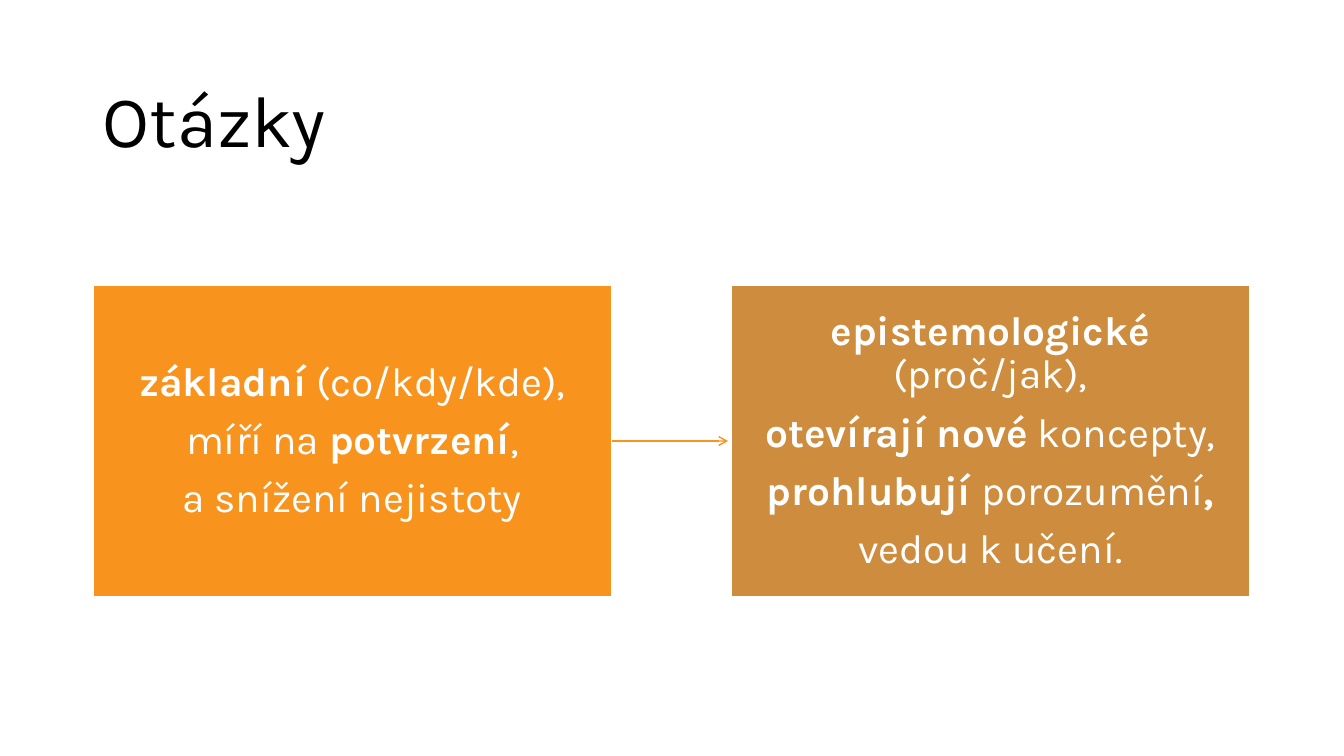
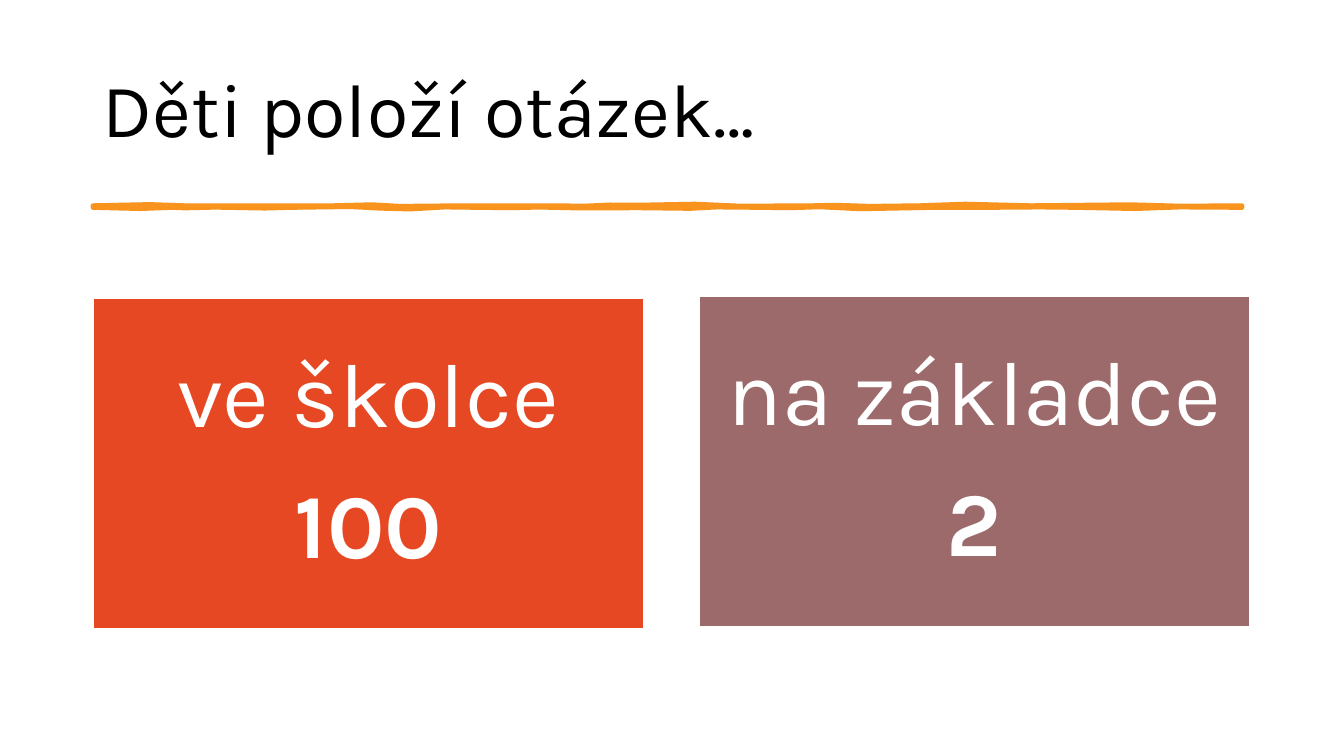
from lxml import etree
from pptx import Presentation
from pptx.dml.color import RGBColor
from pptx.enum.shapes import MSO_CONNECTOR, MSO_SHAPE
from pptx.enum.text import MSO_ANCHOR, PP_ALIGN
from pptx.oxml.ns import qn
from pptx.util import Pt

RECT = MSO_SHAPE.RECTANGLE
STRAIGHT = MSO_CONNECTOR.STRAIGHT
MIDDLE = MSO_ANCHOR.MIDDLE
LEFT, CENTER = PP_ALIGN.LEFT, PP_ALIGN.CENTER
EMU_PER_PX = 914400 / 100.8


class Theme:
    font = "Karla"
    black = RGBColor.from_string("000000")
    white = RGBColor.from_string("FFFFFF")
    orange = RGBColor.from_string("F8931D")
    ochre = RGBColor.from_string("CE8D3E")
    red = RGBColor.from_string("E64823")
    mauve = RGBColor.from_string("9C6A6A")
    title_sizes = (52, 54)
    card_sizes = (29, 65)
    line_spacing = 0.9
    space_after = 0.35
    border = Pt(1.5)
    arrow = Pt(1)
    brush = Pt(3.25)


def px(n):
    return round(n * EMU_PER_PX)


def write(sp, paragraphs, size, color, align, inset_x, inset_y):
    tf = sp.text_frame
    tf.word_wrap = True
    tf.vertical_anchor = MIDDLE
    tf.margin_left = tf.margin_right = px(inset_x)
    tf.margin_top = tf.margin_bottom = px(inset_y)
    for i, runs in enumerate(paragraphs):
        p = tf.paragraphs[0] if i == 0 else tf.add_paragraph()
        p.alignment = align
        p.line_spacing = Theme.line_spacing
        p.space_after = Pt(round(size * Theme.space_after, 2))
        for text, bold in runs:
            r = p.add_run()
            r.text = text
            r.font.name = Theme.font
            r.font.size = Pt(size)
            r.font.bold = bold
            r.font.color.rgb = color


MARGIN, CONTENT_W = 93, 1157
SLIDES = [
    dict(title="Otázky", title_top=61, title_h=125,
         card_w=519, card_h=312, inset=25, tops=(285, 285),
         fills=(Theme.orange, Theme.ochre),
         texts=(
             [[("základní", True), (" (co/kdy/kde),", False)],
              [("míří na ", False), ("potvrzení", True), (",", False)],
              [("a snížení nejistoty", False)]],
             [[("epistemologické ", True), ("(proč/jak),", False)],
              [("otevírají nové", True), (" koncepty,", False)],
              [("prohlubují ", True), ("porozumění", False), (",", True)],
              [("vedou k učení.", False)]])),
    dict(title="Děti položí otázek…", title_top=40, title_h=146,
         card_w=551, card_h=331, inset=27, tops=(298, 296),
         fills=(Theme.red, Theme.mauve),
         texts=(
             [[("ve školce", False)], [("100", True)]],
             [[("na základce", False)], [("2", True)]])),
]

prs = Presentation()
prs.slide_width, prs.slide_height = px(1344), px(756)
slides, cards = [], []

for d, title_size, card_size in zip(SLIDES, Theme.title_sizes, Theme.card_sizes):
    s = prs.slides.add_slide(prs.slide_layouts[6])
    slides.append(s)
    title = s.shapes.add_textbox(px(MARGIN), px(d["title_top"]), px(CONTENT_W), px(d["title_h"]))
    write(title, [[(d["title"], False)]], title_size, Theme.black, LEFT, 10, 5)
    lefts = (MARGIN, MARGIN + CONTENT_W - d["card_w"])
    for left, top, fill, text in zip(lefts, d["tops"], d["fills"], d["texts"]):
        sp = s.shapes.add_shape(RECT, px(left), px(top), px(d["card_w"]), px(d["card_h"]))
        sp.shadow.inherit = False
        sp.fill.solid()
        sp.fill.fore_color.rgb = fill
        sp.line.color.rgb = Theme.white
        sp.line.width = Theme.border
        write(sp, text, card_size, Theme.white, CENTER, d["inset"], d["inset"])
        cards.append(sp)

arrow = slides[0].shapes.add_connector(STRAIGHT, px(612), px(441), px(728), px(441))
arrow.begin_connect(cards[0], 3)
arrow.line.color.rgb = Theme.orange
arrow.line.width = Theme.arrow
etree.SubElement(arrow.line._get_or_add_ln(), qn("a:tailEnd"), type="arrow")
etree.SubElement(arrow._element.spPr, qn("a:effectLst"))

BRUSH_TOP = [
    (930, 2056), (1500, 2044), (1900, 2058), (2460, 2056), (3330, 2056),
    (3720, 2046), (4000, 2062), (4630, 2056), (5520, 2056), (5850, 2060),
    (6100, 2048), (6400, 2050), (6950, 2040), (7400, 2060), (8120, 2056),
    (8350, 2051), (8700, 2062), (9200, 2056), (9650, 2040), (10310, 2056),
    (11300, 2046), (11800, 2060), (12420, 2056),
]
BRUSH_BOTTOM = [
    (12420, 2076), (11800, 2072), (11350, 2088), (10760, 2076), (10400, 2072),
    (9890, 2076), (9350, 2076), (8600, 2090), (8200, 2070), (7900, 2080),
    (7590, 2076), (7170, 2072), (6900, 2086), (6400, 2080), (5750, 2081),
    (5400, 2073), (5100, 2080), (4450, 2072), (4100, 2092), (3800, 2084),
    (3500, 2068), (2910, 2076), (2650, 2083), (2150, 2074), (1850, 2081),
    (1720, 2076), (1400, 2088), (930, 2076),
]
fb = slides[1].shapes.build_freeform(*BRUSH_TOP[0], scale=EMU_PER_PX / 10)
fb.add_line_segments(BRUSH_TOP[1:] + BRUSH_BOTTOM, close=True)
brush = fb.convert_to_shape()
brush.shadow.inherit = False
brush.fill.solid()
brush.fill.fore_color.rgb = Theme.orange
brush.line.color.rgb = Theme.orange
brush.line.width = Theme.brush

prs.save("out.pptx")
